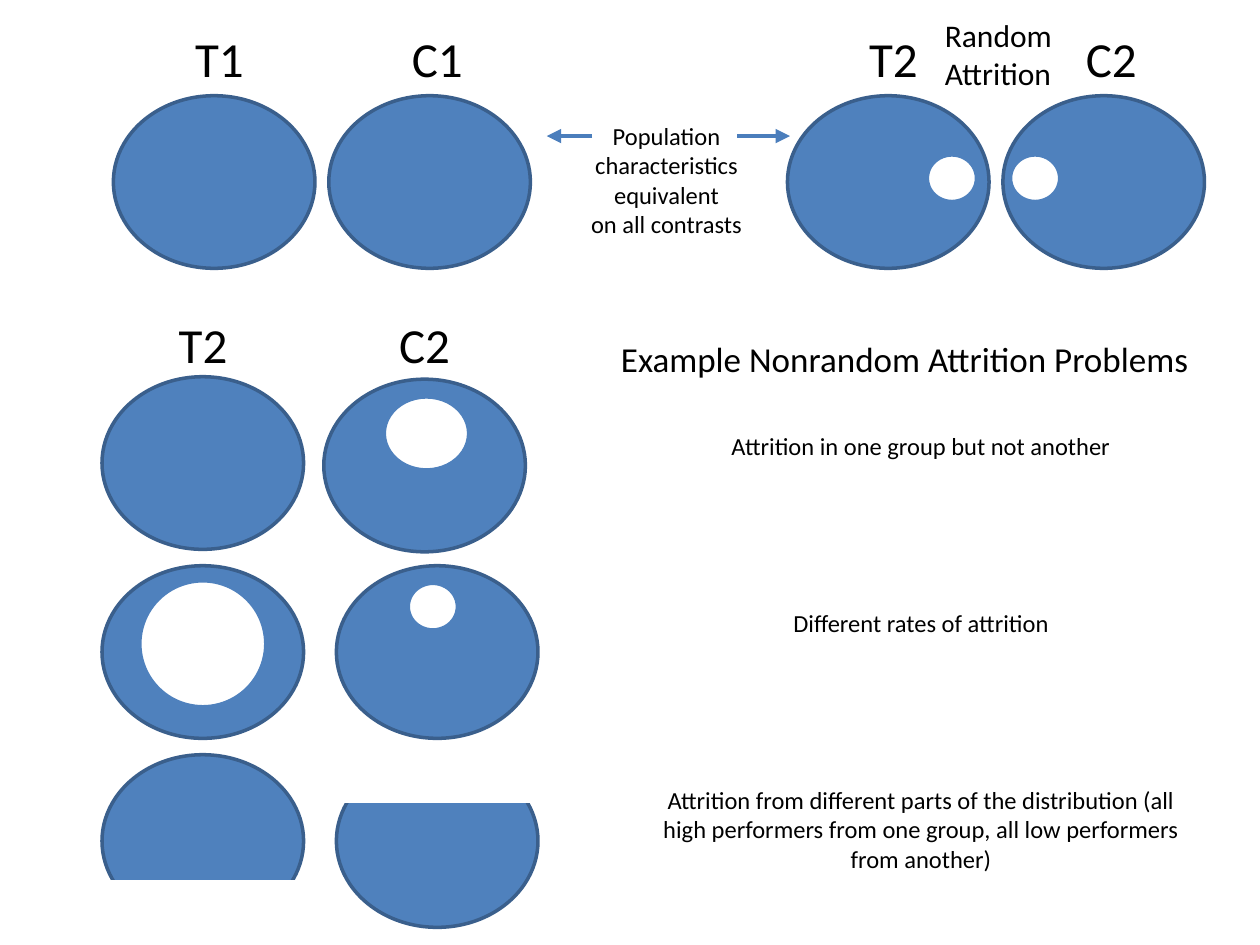
"""Build the slide on random and nonrandom attrition."""
from lxml import etree
from pptx import Presentation
from pptx.dml.color import RGBColor
from pptx.enum import shapes, text
from pptx.oxml.ns import qn
from pptx.util import Inches, Pt

COLORS = {"group": "4F81BD", "edge": "3A5F8C", "arrow": "4B7EBC",
          "white": "FFFFFF", "text": "000000"}

prs = Presentation()
prs.slide_width, prs.slide_height = Inches(10), Inches(7.5)
s = prs.slides.add_slide(prs.slide_layouts[6])


def add_text(content, size, x, y, w, h, centered=False, gap=0):
    sp = s.shapes.add_textbox(Inches(x), Inches(y), Inches(w), Inches(h))
    tf = sp.text_frame
    tf.word_wrap = centered
    tf.auto_size = text.MSO_AUTO_SIZE.SHAPE_TO_FIT_TEXT
    tf.text = content
    for i, p in enumerate(tf.paragraphs):
        p.alignment = text.PP_ALIGN.CENTER if centered else text.PP_ALIGN.LEFT
        if i and gap:
            p.space_before = Pt(gap)
        for r in p.runs:
            r.font.size = Pt(size)
            r.font.name = "Calibri"
            r.font.color.rgb = RGBColor.from_string(COLORS["text"])


def add_figure(kind, fill, line, x, y, w, h):
    sp = s.shapes.add_shape(kind, Inches(x), Inches(y), Inches(w), Inches(h))
    sp.shadow.inherit = False
    sp.fill.solid()
    sp.fill.fore_color.rgb = RGBColor.from_string(COLORS[fill])
    sp.line.color.rgb = RGBColor.from_string(COLORS[line])
    sp.line.width = Pt(2)


OVAL, RECT = shapes.MSO_SHAPE.OVAL, shapes.MSO_SHAPE.RECTANGLE

top_groups = [(x, 0.76) for x in (0.9, 2.61, 6.25, 7.96)]
treatment_groups = [(0.81, 2.99 + 1.5 * i) for i in range(3)]
control_groups = [(2.57, 3.01), (2.67, 4.49), (2.67, 5.99)]
for x, y in top_groups + treatment_groups + control_groups:
    add_figure(OVAL, "group", "edge", x, y, 1.6, 1.37)

dropouts = [(1.11, 4.61, 1, 1), (3.05, 3.15, 0.67, 0.58), (3.24, 4.63, 0.39, 0.37),
            (7.36, 1.23, 0.39, 0.37), (8.02, 1.23, 0.39, 0.37)]
for box in dropouts:
    add_figure(OVAL, "white", "group", *box)

for x, y in [(0.61, 7), (2.5, 5.95)]:
    add_figure(RECT, "white", "white", x, y, 2, 0.41)

for start, end in [(4.7, 4.34), (5.85, 6.27)]:
    arrow = s.shapes.add_connector(shapes.MSO_CONNECTOR.STRAIGHT, Inches(start),
                                   Inches(1.08), Inches(end), Inches(1.08))
    arrow.line.color.rgb = RGBColor.from_string(COLORS["arrow"])
    arrow.line.width = Pt(2.75)
    props = arrow._element.spPr
    etree.SubElement(props.get_or_add_ln(), qn("a:tailEnd"), type="triangle")
    etree.SubElement(props, qn("a:effectLst"))

labels = [("T1", 1.45, 0.18), ("C1", 3.17, 0.18), ("T2", 6.8, 0.18),
          ("C2", 8.52, 0.18), ("T2", 1.32, 2.45), ("C2", 3.07, 2.45)]
for label, x, y in labels:
    add_text(label, 28, x, y, 0.64, 0.57)

add_text("Random \nAttrition", 18, 7.4, 0.08, 1.12, 0.71)
add_text("Example Nonrandom Attrition Problems", 20, 4.83, 2.63, 4.76, 0.44)
add_text("Population characteristics equivalent\non all contrasts",
         14, 4.25, 0.91, 2.08, 1.04, centered=True)

problems = ["Attrition in one group but not another",
            "Different rates of attrition",
            "Attrition from different parts of the distribution (all high performers "
            "from one group, all low performers from another)"]
add_text("\n".join(problems), 14, 5.09, 3.37, 4.44, 3.64, centered=True, gap=84.3)

prs.save("out.pptx")
